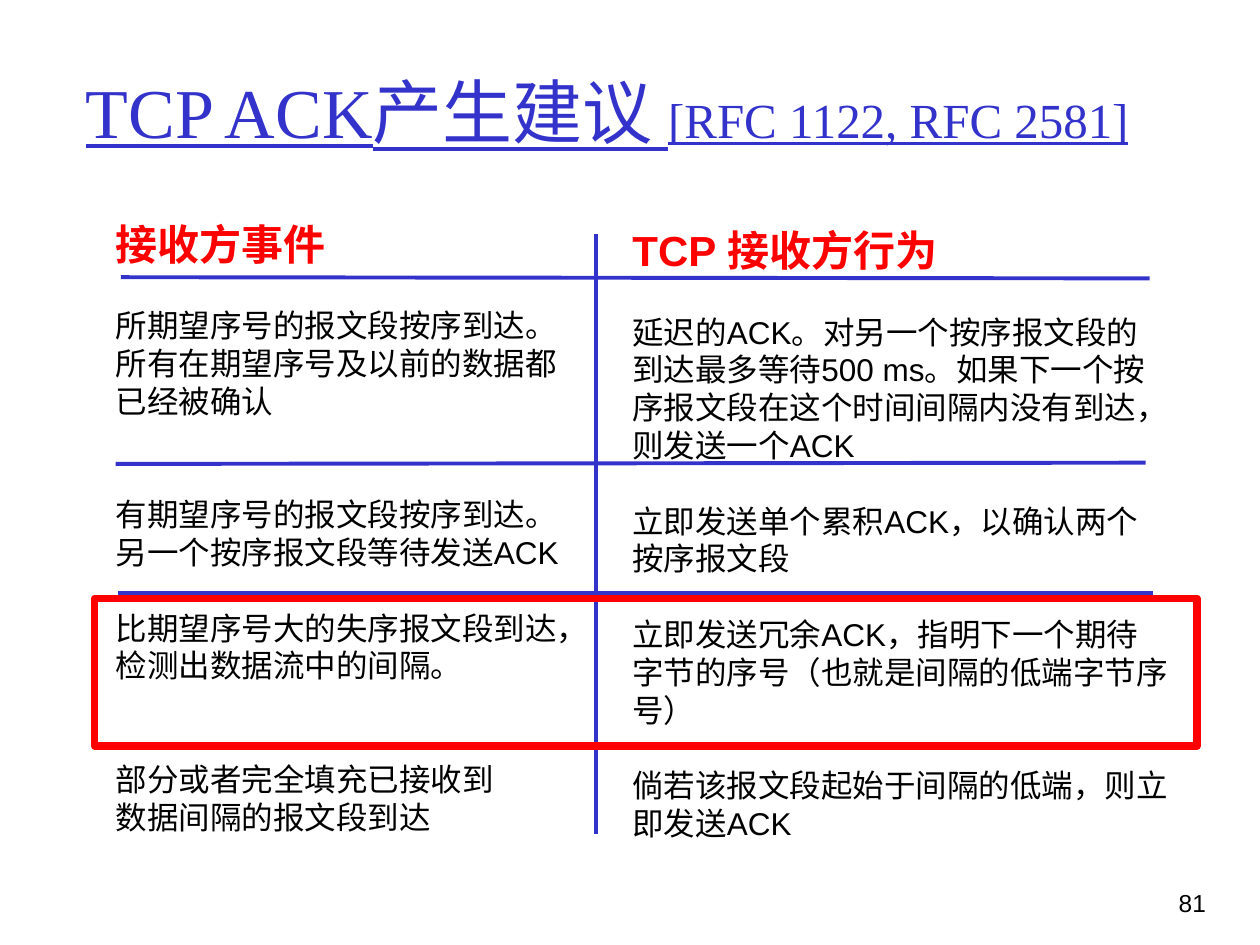
from lxml import etree
from pptx import Presentation
from pptx.dml.color import RGBColor
from pptx.enum import shapes, text
from pptx.oxml.ns import qn
from pptx.util import Pt

COLORS = {"blue": "3333CC", "red": "FF0000", "black": "000000"}
LINE_HEIGHT = 21.6

TITLE = [("TCP ACK产生建议 ", 40), ("[RFC 1122, RFC 2581]", 28)]
TITLE_BOX = (41.8, 18, 633.6, 90)

# Each column: box, heading, then (lines of space before, text)
COLUMNS = [
    ((59, 121, 276.5, 393.8), "接收方事件", [
        (1, "所期望序号的报文段按序到达。所有在期望序号及以前的数据都已经被确认"),
        (2, "有期望序号的报文段按序到达。另一个按序报文段等待发送ACK"),
        (1, "比期望序号大的失序报文段到达，检测出数据流中的间隔。"),
        (2, "部分或者完全填充已接收到"),
        (0, "数据间隔的报文段到达"),
    ]),
    ((354.2, 124.6, 321.1, 382.3), "TCP 接收方行为", [
        (1, "延迟的ACK。对另一个按序报文段的到达最多等待500 ms。"
            "如果下一个按序报文段在这个时间间隔内没有到达，则发送一个ACK"),
        (1, "立即发送单个累积ACK，以确认两个按序报文段"),
        (1, "立即发送冗余ACK，指明下一个期待字节的序号（也就是间隔的低端字节序号）"),
        (1, "倘若该报文段起始于间隔的低端，则立即发送ACK"),
    ]),
]

# Start x, start y, end x, end y
RULES = [
    (69.1, 158.4, 656.9, 159.1),
    (66.1, 265.1, 654.7, 264.4),
    (67.6, 339.1, 658.6, 339.1),
    (68.3, 426.4, 658.2, 427),
    (340.6, 134, 340.6, 476.6),
]
HIGHLIGHT_BOX = (54, 342, 630, 84.2)
PAGE_NUMBER, PAGE_NUMBER_BOX = "81", (643, 504, 53.3, 36)


def points(values):
    return [Pt(value) for value in values]


def place(shape, box):
    shape.left, shape.top, shape.width, shape.height = points(box)


def style(font, size, color, name="Arial", bold=False):
    font.name, font.size, font.bold = name, Pt(size), bold
    font.color.rgb = RGBColor.from_string(COLORS[color])


def prepare_frame(shape, anchor):
    frame = shape.text_frame
    frame.word_wrap = True
    frame.auto_size = text.MSO_AUTO_SIZE.NONE
    frame.vertical_anchor = anchor
    return frame


def add_title(slide):
    title = slide.shapes.title
    place(title, TITLE_BOX)
    paragraph = prepare_frame(title, text.MSO_ANCHOR.MIDDLE).paragraphs[0]
    paragraph.alignment = text.PP_ALIGN.LEFT
    style(paragraph.font, TITLE[0][1], "blue", "Times New Roman")
    paragraph.font.underline = True
    for words, size in TITLE:
        run = paragraph.add_run()
        run.text = words
        run.font.size = Pt(size)


def fill_column(placeholder, box, heading, entries):
    place(placeholder, box)
    frame = prepare_frame(placeholder, text.MSO_ANCHOR.TOP)
    for index, (gap, words) in enumerate([(0, heading), *entries]):
        paragraph = frame.add_paragraph() if index else frame.paragraphs[0]
        paragraph.text = words
        paragraph.space_before = Pt(gap * LINE_HEIGHT)
        properties = paragraph._p.get_or_add_pPr()
        properties.set("marL", "0")
        properties.set("indent", "0")
        etree.SubElement(properties, qn("a:buNone"))
        if index:
            style(paragraph.font, 18, "black")
        else:
            style(paragraph.font, 24, "red", bold=True)


def add_rule(slide, ends):
    rule = slide.shapes.add_connector(shapes.MSO_CONNECTOR.STRAIGHT, *points(ends))
    rule.line.color.rgb = RGBColor.from_string(COLORS["blue"])
    rule.line.width = Pt(2.25)
    etree.SubElement(rule._element.spPr, qn("a:effectLst"))


def add_highlight(slide):
    highlight = slide.shapes.add_shape(shapes.MSO_SHAPE.RECTANGLE, *points(HIGHLIGHT_BOX))
    highlight.shadow.inherit = False
    highlight.fill.background()
    highlight.line.color.rgb = RGBColor.from_string(COLORS["red"])
    highlight.line.width = Pt(4.5)


def add_page_number(slide):
    box = slide.shapes.add_textbox(*points(PAGE_NUMBER_BOX))
    paragraph = prepare_frame(box, text.MSO_ANCHOR.TOP).paragraphs[0]
    paragraph.text = PAGE_NUMBER
    paragraph.alignment = text.PP_ALIGN.RIGHT
    style(paragraph.font, 14, "black")


def main():
    presentation = Presentation()
    presentation.slide_width, presentation.slide_height = Pt(720), Pt(540)
    two_content = presentation.slide_layouts.get_by_name("Two Content")
    slide = presentation.slides.add_slide(two_content)
    add_title(slide)
    for index, column in enumerate(COLUMNS, start=1):
        fill_column(slide.placeholders[index], *column)
    for ends in RULES:
        add_rule(slide, ends)
    add_highlight(slide)
    add_page_number(slide)
    presentation.save("out.pptx")


if __name__ == "__main__":
    main()
